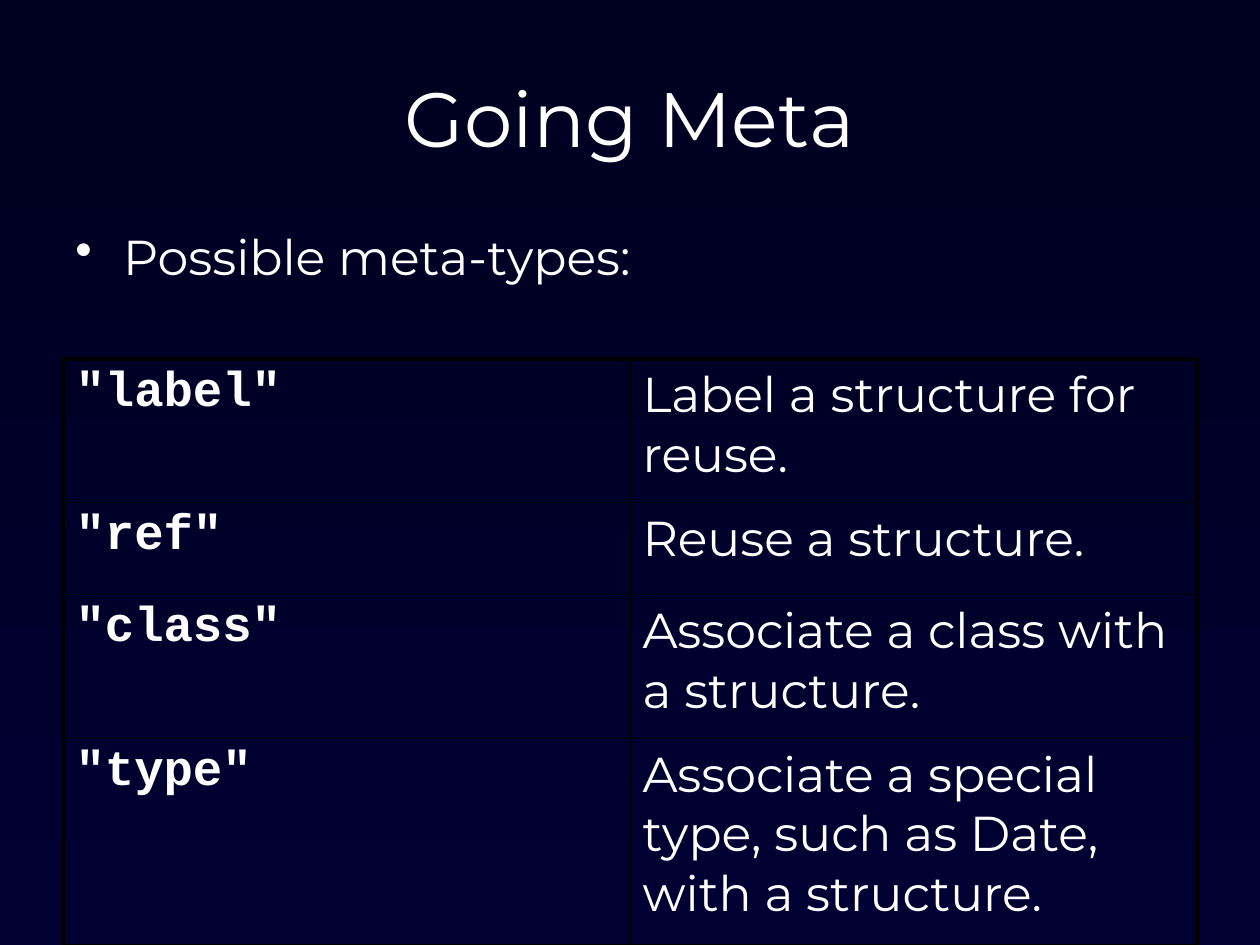
from dataclasses import dataclass

import pptx
import pptx.dml.color
import pptx.enum.text
import pptx.oxml.ns
import pptx.util
from lxml import etree
from pptx.util import Inches, Pt

RGBColor = pptx.dml.color.RGBColor
BG_TOP = RGBColor(0x00, 0x00, 0x20)
BG_BOTTOM = RGBColor(0x00, 0x00, 0x32)
WHITE = RGBColor(0xFF, 0xFF, 0xFF)
BLACK = RGBColor(0x00, 0x00, 0x00)

BODY = {"name": "Montserrat", "size": Pt(28), "bold": False}
TITLE = {**BODY, "size": Pt(44)}
CODE = {**BODY, "name": "Courier New", "bold": True}

OUTER, INNER = Pt(2.25), Pt(1)


@dataclass
class MetaType:
    name: str
    meaning: str
    height: float


META_TYPES = [
    MetaType('"label"', "Label a structure for reuse.", 1.14),
    MetaType('"ref"', "Reuse a structure.", 0.73),
    MetaType('"class"', "Associate a class with a structure.", 1.14),
    MetaType('"type"', "Associate a special type, such as Date, with a structure.", 1.65),
]


def add_run(p, text: str, fmt: dict) -> None:
    r = p.add_run()
    r.text = text
    for key, value in fmt.items():
        setattr(r.font, key, value)
    r.font.color.rgb = WHITE


def add_text(s, text: str, top: float, height: float, fmt: dict):
    tf = s.shapes.add_textbox(Inches(0.5), Inches(top), Inches(9), Inches(height)).text_frame
    tf.word_wrap = True
    add_run(tf.paragraphs[0], text, fmt)
    return tf


def add_bullet(p, indent: int) -> None:
    pPr = p._p.get_or_add_pPr()
    pPr.set("marL", str(indent))
    pPr.set("indent", str(-indent))
    etree.SubElement(pPr, pptx.oxml.ns.qn("a:buChar")).set("char", "•")


def set_borders(cell, widths: dict) -> None:
    """Insert the border lines ahead of the cell fill, as the schema requires."""
    qn = pptx.oxml.ns.qn
    tcPr = cell._tc.get_or_add_tcPr()
    for i, (side, width) in enumerate(widths.items()):
        ln = etree.Element(qn(f"a:ln{side}"), w=str(width))
        fill = etree.SubElement(ln, qn("a:solidFill"))
        etree.SubElement(fill, qn("a:srgbClr")).set("val", str(BLACK))
        tcPr.insert(i, ln)


def add_meta_table(s, rows: list[MetaType]) -> None:
    height = sum(row.height for row in rows)
    table = s.shapes.add_table(len(rows), 2, Inches(0.5), Inches(2.85),
                               Inches(9), Inches(height)).table
    table.first_row = table.horz_banding = False
    last = len(rows) - 1
    for i, row in enumerate(rows):
        table.rows[i].height = Inches(row.height)
        for j, (text, fmt) in enumerate([(row.name, CODE), (row.meaning, BODY)]):
            cell = table.cell(i, j)
            cell.fill.background()
            add_run(cell.text_frame.paragraphs[0], text, fmt)
            set_borders(cell, {
                "L": OUTER if j == 0 else INNER,
                "R": OUTER if j == 1 else INNER,
                "T": OUTER if i == 0 else INNER,
                "B": OUTER if i == last else INNER,
            })


def main() -> None:
    prs = pptx.Presentation()
    prs.slide_width, prs.slide_height = Inches(10), Inches(7.5)
    s = prs.slides.add_slide(prs.slide_layouts[6])

    # Background, darker at the top
    fill = s.background.fill
    fill.gradient()
    fill.gradient_angle = 270
    for stop, color in zip(fill.gradient_stops, (BG_TOP, BG_BOTTOM)):
        stop.color.rgb = color

    # Title
    tf = add_text(s, "Going Meta", 0.3, 1.25, TITLE)
    tf.vertical_anchor = pptx.enum.text.MSO_ANCHOR.MIDDLE
    tf.paragraphs[0].alignment = pptx.enum.text.PP_ALIGN.CENTER

    # Lead-in bullet
    tf = add_text(s, "Possible meta-types:", 1.75, 1, BODY)
    add_bullet(tf.paragraphs[0], Inches(0.38))

    # Meta-types and their meanings
    add_meta_table(s, META_TYPES)

    prs.save("out.pptx")


if __name__ == "__main__":
    main()
